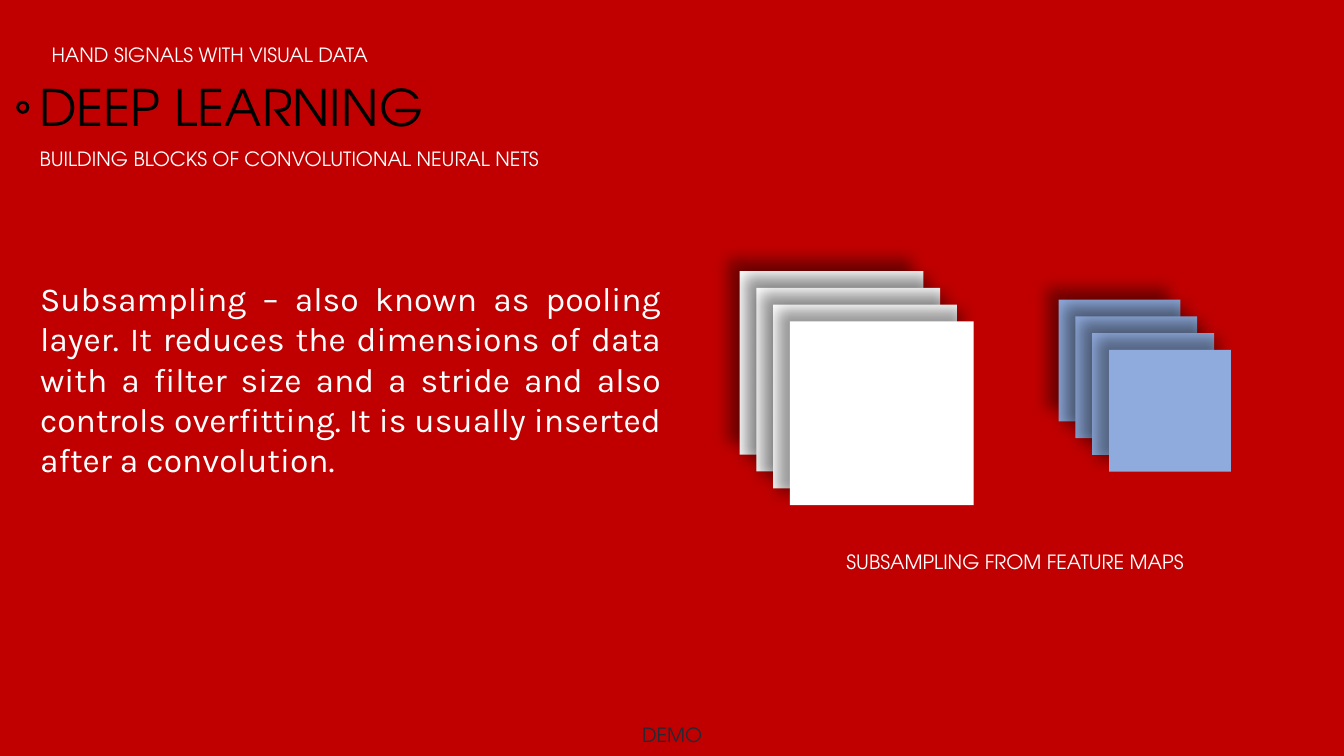
import pptx
import pptx.dml.color
import pptx.enum.shapes
import pptx.enum.text
import pptx.oxml
import pptx.oxml.ns
import pptx.util

Cm = pptx.util.Cm
Pt = pptx.util.Pt
RGBColor = pptx.dml.color.RGBColor
MSO_SHAPE = pptx.enum.shapes.MSO_SHAPE
PP_ALIGN = pptx.enum.text.PP_ALIGN

RED = RGBColor(0xC0, 0x00, 0x00)
BLACK = RGBColor(0x00, 0x00, 0x00)
WHITE = RGBColor(0xFF, 0xFF, 0xFF)
BLUE = RGBColor(0x8F, 0xAA, 0xDC)
SLATE = RGBColor(0x22, 0x2A, 0x35)

HEADING_FONT = "TeX Gyre Adventor"
BODY_FONT = "Karla"

SHADOW_XML = (
    f'<a:effectLst {pptx.oxml.ns.nsdecls("a")}>'
    f'<a:outerShdw blurRad="{Pt(11)}" dist="{Pt(12)}" dir="13500000" algn="br" rotWithShape="0">'
    '<a:srgbClr val="000000"><a:alpha val="40000"/></a:srgbClr>'
    '</a:outerShdw></a:effectLst>'
)


def add_text(slide, box, text, size=14, color=WHITE, font=HEADING_FONT,
             align=PP_ALIGN.LEFT, wrap=False):
    tf = slide.shapes.add_textbox(*box).text_frame
    tf.word_wrap = wrap
    tf.auto_size = pptx.enum.text.MSO_AUTO_SIZE.SHAPE_TO_FIT_TEXT
    p = tf.paragraphs[0]
    p.text = text
    p.alignment = align
    p.font.name = font
    p.font.size = Pt(size)
    p.font.color.rgb = color


def add_solid(shapes, kind, box, color):
    sp = shapes.add_shape(kind, *box)
    sp.shadow.inherit = False
    sp.fill.solid()
    sp.fill.fore_color.rgb = color
    sp.line.fill.background()
    return sp


def add_header(slide, left, top):
    add_text(slide, (left, top, Cm(9.1), Cm(0.86)),
             "HAND SIGNALS WITH VISUAL DATA", align=PP_ALIGN.CENTER)
    add_text(slide, (left, top + Cm(0.84), Cm(10.65), Cm(1.8)),
             "DEEP LEARNING", size=36, color=BLACK)
    ring = add_solid(slide.shapes, MSO_SHAPE.DONUT,
                     (left - Cm(0.33), top + Cm(1.58), Cm(0.33), Cm(0.33)), BLACK)
    ring.adjustments[0] = 0.23
    add_text(slide, (left + Cm(0.01), top + Cm(2.62), Cm(13.9), Cm(0.86)),
             "BUILDING BLOCKS OF CONVOLUTIONAL NEURAL NETS")


def add_body(slide, box):
    add_text(slide, box,
             "Subsampling – also known as pooling layer. It reduces the dimensions "
             "of data with a filter size and a stride and also controls overfitting. "
             "It is usually inserted after a convolution.",
             size=24, font=BODY_FONT, align=PP_ALIGN.JUSTIFY, wrap=True)


def add_feature_maps(shapes, left, top, side, color, count=4, step=Cm(0.423)):
    for i in range(count):
        box = (left + i * step, top + i * step, side, side)
        sp = add_solid(shapes, MSO_SHAPE.RECTANGLE, box, color)
        spPr = sp._element.spPr
        spPr.replace(spPr.find(pptx.oxml.ns.qn("a:effectLst")),
                     pptx.oxml.parse_xml(SHADOW_XML))


def add_subsampling_diagram(slide, left, top):
    add_feature_maps(slide.shapes, left, top, Cm(4.63), WHITE)
    add_text(slide, (left + Cm(2.44), top + Cm(6.91), Cm(9.5), Cm(0.86)),
             "SUBSAMPLING FROM FEATURE MAPS")
    pooled = slide.shapes.add_group_shape()
    add_feature_maps(pooled.shapes, left + Cm(8.04), top + Cm(0.72), Cm(3.07), BLUE)


def add_footer(slide, box):
    add_text(slide, box, "DEMO", color=SLATE, align=PP_ALIGN.CENTER)


def main():
    prs = pptx.Presentation()
    prs.slide_width = Cm(33.87)
    prs.slide_height = Cm(19.05)
    slide = prs.slides.add_slide(prs.slide_layouts[6])
    slide.background.fill.solid()
    slide.background.fill.fore_color.rgb = RED

    add_header(slide, Cm(0.74), Cm(0.96))
    add_body(slide, (Cm(0.76), Cm(6.88), Cm(16.15), Cm(5.38)))
    add_subsampling_diagram(slide, Cm(18.64), Cm(6.83))
    add_footer(slide, (Cm(15.9), Cm(18.08), Cm(2.08), Cm(0.86)))
    prs.save("out.pptx")


if __name__ == "__main__":
    main()
